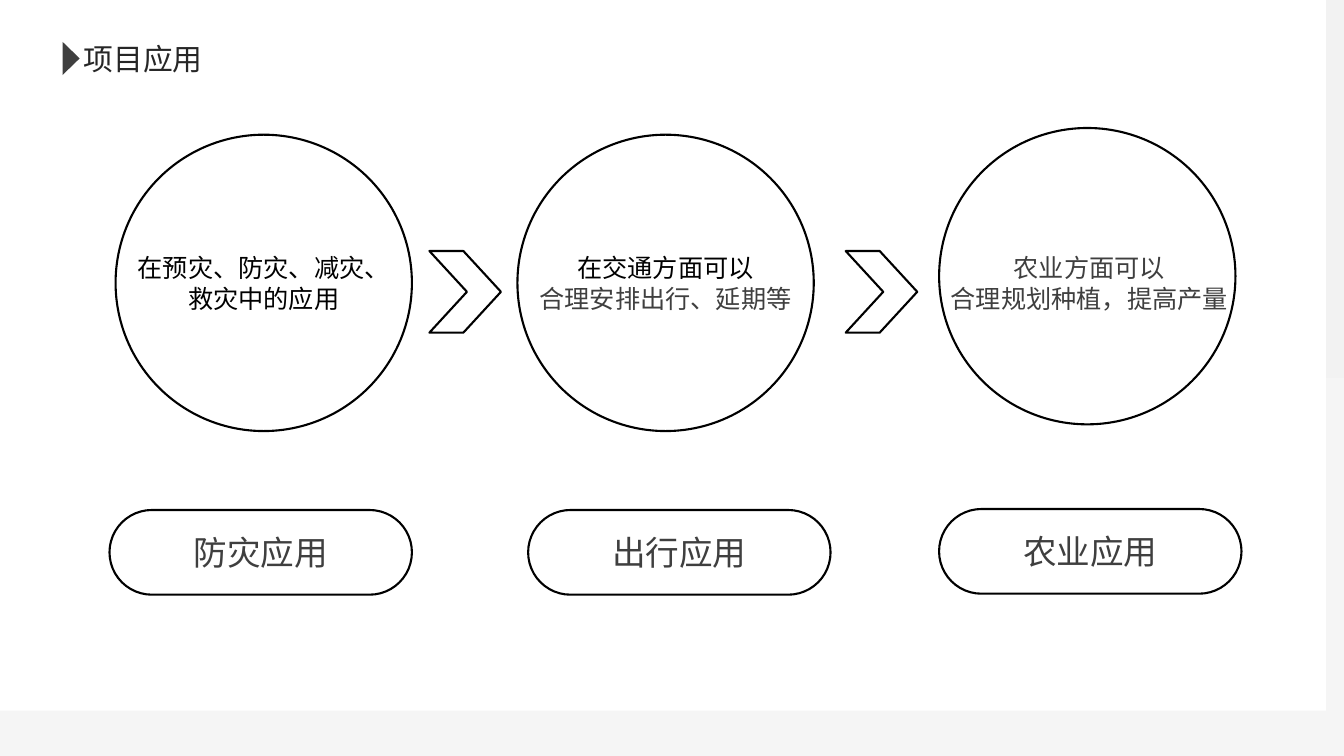
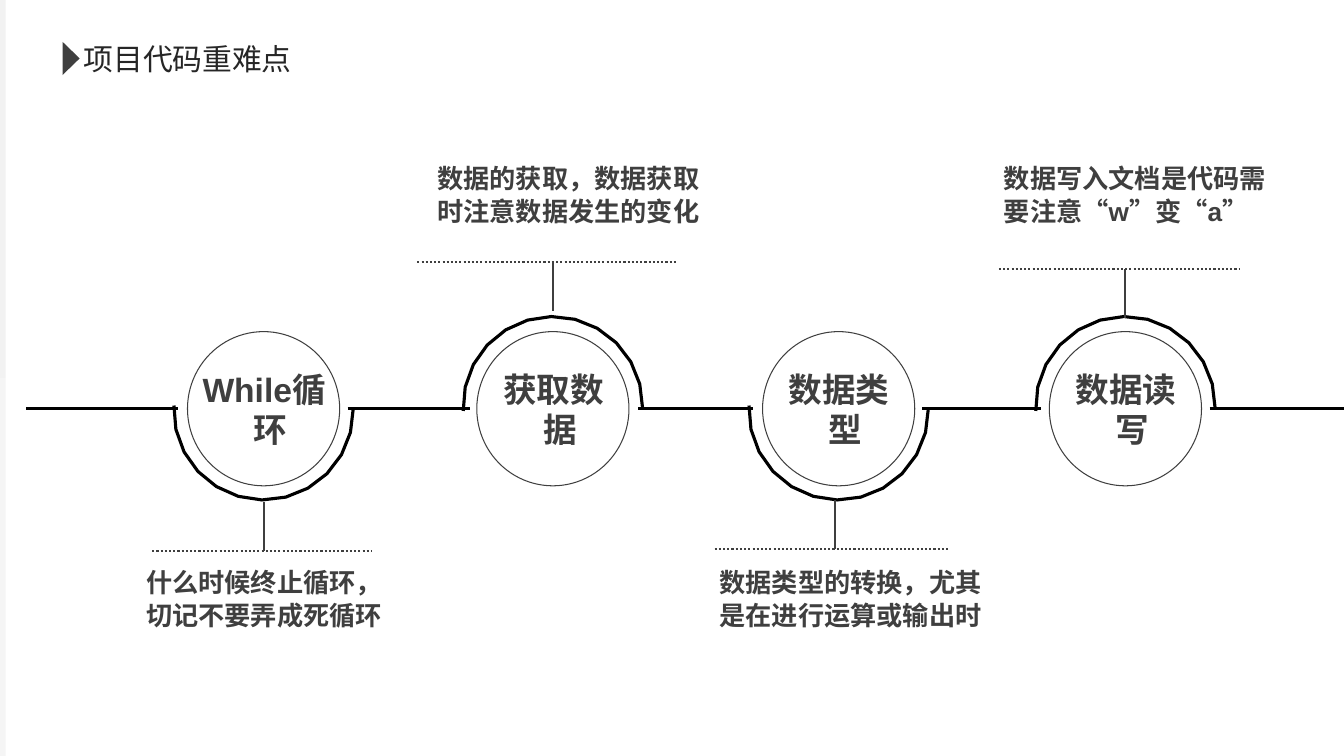
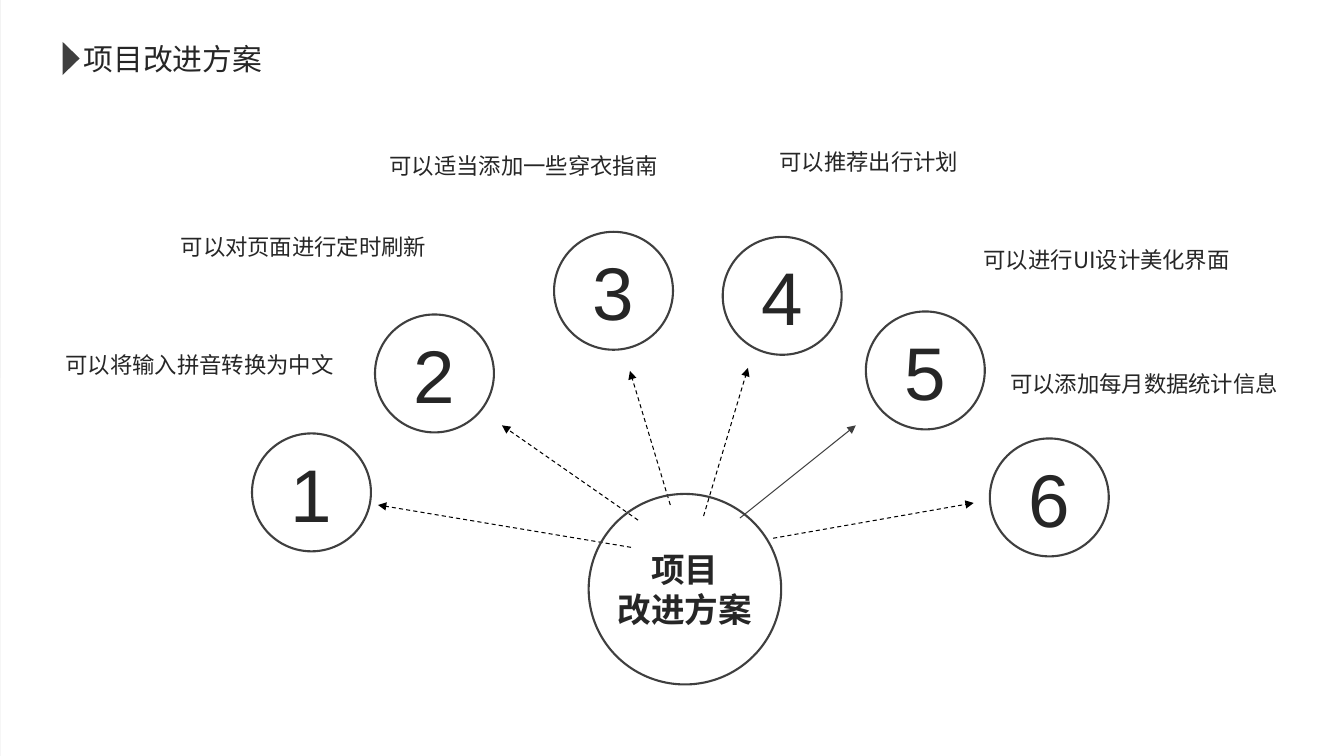
"""Build three project slides: applications, code difficulties and improvement plans."""
import dataclasses
import math
import typing

import lxml.etree
import pptx
import pptx.dml.color
import pptx.enum.dml
import pptx.enum.shapes
import pptx.enum.text
import pptx.oxml.ns
import pptx.slide
import pptx.util

COLOURS = {"white": "FFFFFF", "backdrop": "F2F2F2", "backdrop_end": "F5F5F5",
           "black": "000000", "grey": "3F3F3F", "ink": "262626"}
COLUMNS, ROWS = 80, 45
WIDTH, HEIGHT = pptx.util.Inches(13.333), pptx.util.Inches(7.5)
SANS, CJK = "Arial", "Noto Sans CJK SC"
SHAPE = pptx.enum.shapes.MSO_SHAPE
ALIGN = pptx.enum.text.PP_ALIGN
ANCHOR = pptx.enum.text.MSO_ANCHOR
DASH = pptx.enum.dml.MSO_LINE


@dataclasses.dataclass(frozen=True)
class Point:
    column: float
    row: float


@dataclasses.dataclass(frozen=True)
class Area:
    column: float
    row: float
    columns: float
    rows: float


@dataclasses.dataclass(frozen=True)
class Stroke:
    colour: str
    width: float
    dash: typing.Optional[DASH] = None
    arrow: bool = False


@dataclasses.dataclass(frozen=True)
class TextStyle:
    size: float
    colour: str
    font: str = SANS
    east_font: str = SANS
    bold: bool = False
    align: ALIGN = ALIGN.CENTER
    anchor: ANCHOR = ANCHOR.TOP
    wrap: bool = True
    spacing: typing.Optional[float] = None
    hanging: float = 0


@dataclasses.dataclass(frozen=True)
class Application:
    name: str
    caption: tuple[str, str]
    colours: tuple[str, str]
    circle: Point
    pill: Point
    caption_circle: typing.Optional[Point] = None


@dataclasses.dataclass(frozen=True)
class Station:
    name: str
    note: tuple[str, ...]
    centre: float
    stem: float
    rule: tuple[float, float]
    rule_row: float
    note_column: float
    above: bool


@dataclasses.dataclass(frozen=True)
class Idea:
    text: str
    circle: Point
    note: Area
    align: ALIGN
    start: Point
    end: Point
    stroke: Stroke


TITLE = TextStyle(21.3, "ink", CJK, CJK, align=ALIGN.LEFT, wrap=False)
CAPTION = TextStyle(18, "black", anchor=ANCHOR.MIDDLE, wrap=False)
PILL = TextStyle(24, "grey", anchor=ANCHOR.MIDDLE, wrap=False)
STATION_NAME = TextStyle(24, "grey", bold=True, hanging=0.78)
STATION_NOTE = TextStyle(18.7, "grey", SANS, CJK, bold=True, align=ALIGN.LEFT, spacing=1.05)
NUMBER = TextStyle(53.3, "ink", anchor=ANCHOR.MIDDLE, wrap=False)
HUB = TextStyle(24, "ink", bold=True, anchor=ANCHOR.MIDDLE, wrap=False)
IDEA_NOTE = TextStyle(16, "ink", CJK, CJK)

OUTLINE = Stroke("black", 1.5)
RING = Stroke("grey", 1.5)
THIN_RING = Stroke("grey", 0.75)
TRACK = Stroke("black", 2.25)
DOTTED = Stroke("grey", 1.5, DASH.ROUND_DOT)
DASHED_ARROW = Stroke("black", 0.75, DASH.DASH, True)
SOLID_ARROW = Stroke("grey", 0.75, arrow=True)

APPLICATIONS = (
    Application("防灾应用", ("在预灾、防灾、减灾、", "救灾中的应用"), ("black", "black"),
                Point(6.88, 8.02), Point(6.52, 30.36), Point(6.88, 8.02)),
    Application("出行应用", ("在交通方面可以", "合理安排出行、延期等"), ("black", "grey"),
                Point(30.8, 8.02), Point(31.44, 30.36)),
    Application("农业应用", ("农业方面可以", "合理规划种植，提高产量"), ("grey", "grey"),
                Point(55.9, 7.62), Point(55.9, 30.3), Point(56.02, 8.02)),
)
CHEVRON_COLUMNS = (25.56, 50.34)

STATIONS = (
    Station("While循环", ("什么时候终止循环，", "切记不要弄成死循环"),
            15.69, 15.69, (9.06, 22.14), 32.8, 8.1, False),
    Station("获取数据", ("数据的获取，数据获取时注意数据发生的变化",),
            32.91, 32.91, (24.84, 40.32), 15.6, 25.44, True),
    Station("数据类型", ("数据类型的转换，尤其是在进行运算或输出时",),
            49.92, 49.68, (42.54, 56.46), 32.7, 42.24, False),
    Station("数据读写", ("数据写入文档是代码需要注意“w”变“a”",),
            66.99, 66.99, (59.46, 73.74), 16, 59.16, True),
)
TRACK_ROW = 24.3
TRACK_SPANS = ((1.56, 10.62), (20.7, 27.96), (37.98, 44.82), (54.9, 61.98), (72, COLUMNS))
RING_START, RING_SWEEP, RING_STEPS = -3, 184, 12

IDEAS = (
    Idea("可以将输入拼音转换为中文", Point(15, 25.8), Area(3.06, 20.62, 17.4, 2.22),
         ALIGN.RIGHT, Point(37.56, 32.58), Point(22.5, 30.06), DASHED_ARROW),
    Idea("可以对页面进行定时刷新", Point(22.32, 18.72), Area(8.4, 13.6, 17.58, 2.22),
         ALIGN.RIGHT, Point(37.98, 30.96), Point(29.88, 25.32), DASHED_ARROW),
    Idea("可以适当添加一些穿衣指南", Point(32.98, 13.8), Area(22.5, 8.76, 17.34, 2.22),
         ALIGN.CENTER, Point(39.9, 30.06), Point(37.5, 22.08), DASHED_ARROW),
    Idea("可以推荐出行计划", Point(43.02, 14.1), Area(43.92, 8.52, 15.6, 2.22),
         ALIGN.CENTER, Point(41.88, 30.72), Point(44.52, 21.9), DASHED_ARROW),
    Idea("可以进行UI设计美化界面", Point(51.54, 18.54), Area(57.96, 14.34, 16.68, 2.22),
         ALIGN.LEFT, Point(44.04, 30.84), Point(50.94, 25.32), SOLID_ARROW),
    Idea("可以添加每月数据统计信息", Point(58.92, 26.1), Area(59.54, 21.72, 17.34, 2.22),
         ALIGN.LEFT, Point(46.02, 32.04), Point(57.96, 29.94), DASHED_ARROW),
)


def across(columns: float) -> int:
    return round(WIDTH * columns / COLUMNS)


def down(rows: float) -> int:
    return round(HEIGHT * rows / ROWS)


def place(area: Area) -> tuple[int, int, int, int]:
    return across(area.column), down(area.row), across(area.columns), down(area.rows)


def rgb(name: str) -> pptx.dml.color.RGBColor:
    return pptx.dml.color.RGBColor.from_string(COLOURS[name])


def assign(target: typing.Any, values: dict[str, typing.Any]) -> None:
    for name, value in values.items():
        setattr(target, name, value)


def write(box: typing.Any, lines: typing.Sequence[str], style: TextStyle,
          colours: typing.Sequence[str] = ()) -> None:
    frame = box.text_frame
    assign(frame, {"word_wrap": style.wrap, "vertical_anchor": style.anchor,
                   "auto_size": pptx.enum.text.MSO_AUTO_SIZE.NONE})
    for index, line in enumerate(lines):
        paragraph = frame.add_paragraph() if index else frame.paragraphs[0]
        assign(paragraph, {"alignment": style.align, "line_spacing": style.spacing})
        span = paragraph.add_run()
        span.text = line
        assign(span.font, {"size": pptx.util.Pt(style.size), "name": style.font,
                           "bold": style.bold})
        span.font.color.rgb = rgb(colours[index] if colours else style.colour)
    for properties in box.element.iter(pptx.oxml.ns.qn("a:rPr")):
        east = lxml.etree.SubElement(properties, pptx.oxml.ns.qn("a:ea"))
        east.set("typeface", style.east_font)
    if style.hanging:
        for properties in box.element.iter(pptx.oxml.ns.qn("a:pPr")):
            properties.set("marL", str(across(style.hanging)))
            properties.set("indent", str(-across(style.hanging)))


def add_text(page: pptx.slide.Slide, area: Area, lines: typing.Sequence[str],
             style: TextStyle) -> None:
    write(page.shapes.add_textbox(*place(area)), lines, style)


def draw_stroke(line: typing.Any, stroke: Stroke) -> None:
    line.color.rgb = rgb(stroke.colour)
    assign(line, {"width": pptx.util.Pt(stroke.width), "dash_style": stroke.dash})


def finish(shape: typing.Any, fill: typing.Optional[str], stroke: typing.Optional[Stroke]) -> None:
    shape.shadow.inherit = False
    if fill:
        shape.fill.solid()
        shape.fill.fore_color.rgb = rgb(fill)
    else:
        shape.fill.background()
    if stroke:
        draw_stroke(shape.line, stroke)
    else:
        shape.line.fill.background()


def add_shape(page: pptx.slide.Slide, kind: SHAPE, area: Area,
              stroke: typing.Optional[Stroke] = None, fill: typing.Optional[str] = None,
              adjustment: typing.Optional[float] = None) -> typing.Any:
    shape = page.shapes.add_shape(kind, *place(area))
    finish(shape, fill, stroke)
    if adjustment is not None:
        shape.adjustments[0] = adjustment
    return shape


def add_line(page: pptx.slide.Slide, start: Point, end: Point, stroke: Stroke) -> None:
    connector = page.shapes.add_connector(
        pptx.enum.shapes.MSO_CONNECTOR.STRAIGHT, across(start.column), down(start.row),
        across(end.column), down(end.row))
    draw_stroke(connector.line, stroke)
    properties = connector.element.spPr
    if stroke.arrow:
        outline = properties.find(pptx.oxml.ns.qn("a:ln"))
        tail = lxml.etree.SubElement(outline, pptx.oxml.ns.qn("a:tailEnd"))
        tail.set("type", "triangle")
    lxml.etree.SubElement(properties, pptx.oxml.ns.qn("a:effectLst"))


def add_half_ring(page: pptx.slide.Slide, centre: Point, radius: float, side: int) -> None:
    angles = [math.radians(RING_START + RING_SWEEP * step / RING_STEPS)
              for step in range(RING_STEPS + 1)]
    points = [(across(centre.column - radius * math.cos(angle)),
               down(centre.row + side * radius * math.sin(angle))) for angle in angles]
    builder = page.shapes.build_freeform(*points[0])
    builder.add_line_segments(points[1:], close=False)
    finish(builder.convert_to_shape(), None, TRACK)


def add_page(deck: typing.Any, title: str, sheet: Point) -> pptx.slide.Slide:
    page = deck.slides.add_slide(deck.slide_layouts[5])
    heading = page.shapes.title
    area = Area(4.38, 2.1, 1.2 + 1.8 * len(title), 2.76)
    assign(heading, dict(zip(("left", "top", "width", "height"), place(area))))
    write(heading, [title], TITLE)
    paper = add_shape(page, SHAPE.RECTANGLE, Area(sheet.column, sheet.row, COLUMNS, ROWS),
                      fill="white")
    heading.element.addprevious(paper.element)
    marker = add_shape(page, SHAPE.ISOSCELES_TRIANGLE, Area(3.24, 2.97, 1.98, 1.02), fill="grey")
    marker.rotation = 90
    return page


def build_applications(deck: typing.Any) -> None:
    page = add_page(deck, "项目应用", Point(-1.08, -2.7))
    for item in APPLICATIONS:
        circle, pill, inner = item.circle, item.pill, item.caption_circle
        holder = add_shape(page, SHAPE.OVAL, Area(circle.column, circle.row, 17.64, 17.64),
                           OUTLINE)
        if inner:
            holder = add_shape(page, SHAPE.OVAL, Area(inner.column, inner.row, 17.64, 17.64))
        write(holder, item.caption, CAPTION, item.colours)
        button = add_shape(page, SHAPE.ROUNDED_RECTANGLE, Area(pill.column, pill.row, 18, 5.04),
                           OUTLINE, adjustment=0.5)
        write(button, [item.name], PILL)
    for column in CHEVRON_COLUMNS:
        add_shape(page, SHAPE.CHEVRON, Area(column, 14.94, 4.26, 4.86), OUTLINE,
                  adjustment=0.525)


def build_difficulties(deck: typing.Any) -> None:
    page = add_page(deck, "项目代码重难点", Point(0.33, 0))
    for start, end in TRACK_SPANS:
        add_line(page, Point(start, TRACK_ROW), Point(end, TRACK_ROW), TRACK)
    for station in STATIONS:
        side = -1 if station.above else 1
        left, right = station.rule
        row = station.rule_row
        circle_left = station.centre - 4.53
        add_half_ring(page, Point(station.centre, TRACK_ROW + side * 0.12), 5.34, side)
        add_shape(page, SHAPE.OVAL, Area(circle_left, 19.74, 9.06, 9.18), THIN_RING)
        add_text(page, Area(circle_left, 21.66, 9.12, 5.46), [station.name], STATION_NAME)
        add_line(page, Point(station.stem, row), Point(station.stem, row - side * 2.94), RING)
        add_line(page, Point(left, row), Point(right, row), DOTTED)
        add_text(page, Area(station.note_column, 9.3 if station.above else 33.3, 18.12, 5.28),
                 station.note, STATION_NOTE)


def build_improvements(deck: typing.Any) -> None:
    page = add_page(deck, "项目改进方案", Point(0.06, 0))
    for number, idea in enumerate(IDEAS, 1):
        add_line(page, idea.start, idea.end, idea.stroke)
        circle = add_shape(page, SHAPE.OVAL,
                           Area(idea.circle.column, idea.circle.row, 7.08, 7.02), RING)
        write(circle, [str(number)], NUMBER)
        add_text(page, idea.note, [idea.text], dataclasses.replace(IDEA_NOTE, align=idea.align))
    hub = add_shape(page, SHAPE.OVAL, Area(35.04, 29.4, 11.46, 11.34), RING)
    write(hub, ["项目", "改进方案"], HUB)


def main() -> None:
    deck = pptx.Presentation()
    assign(deck, {"slide_width": WIDTH, "slide_height": HEIGHT})
    backdrop = deck.slide_master.background.fill
    backdrop.gradient()
    backdrop.gradient_angle = 270
    for stop, name in zip(backdrop.gradient_stops, ("backdrop", "backdrop_end")):
        stop.color.rgb = rgb(name)
    for build in (build_applications, build_difficulties, build_improvements):
        build(deck)
    deck.save("out.pptx")


main()
